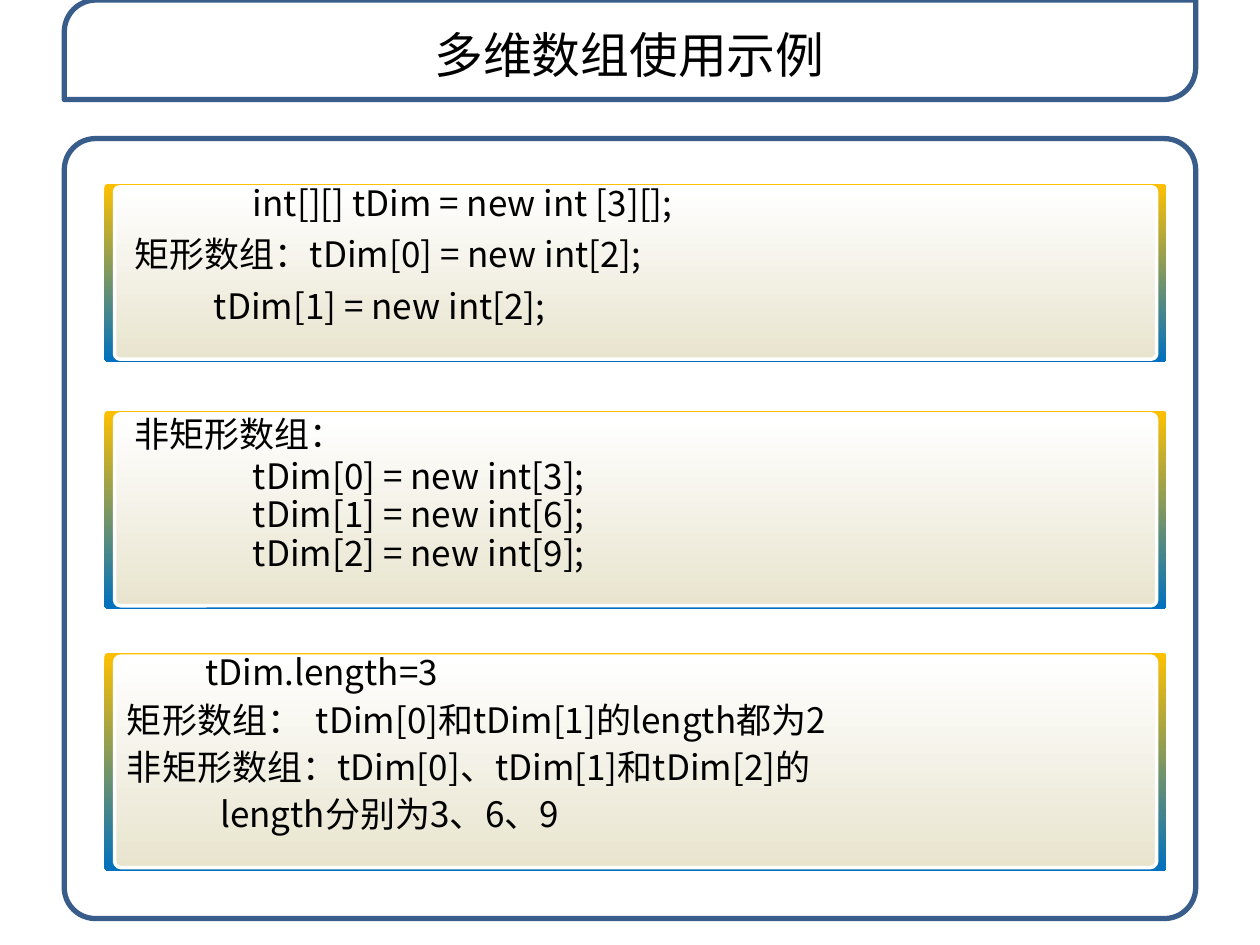
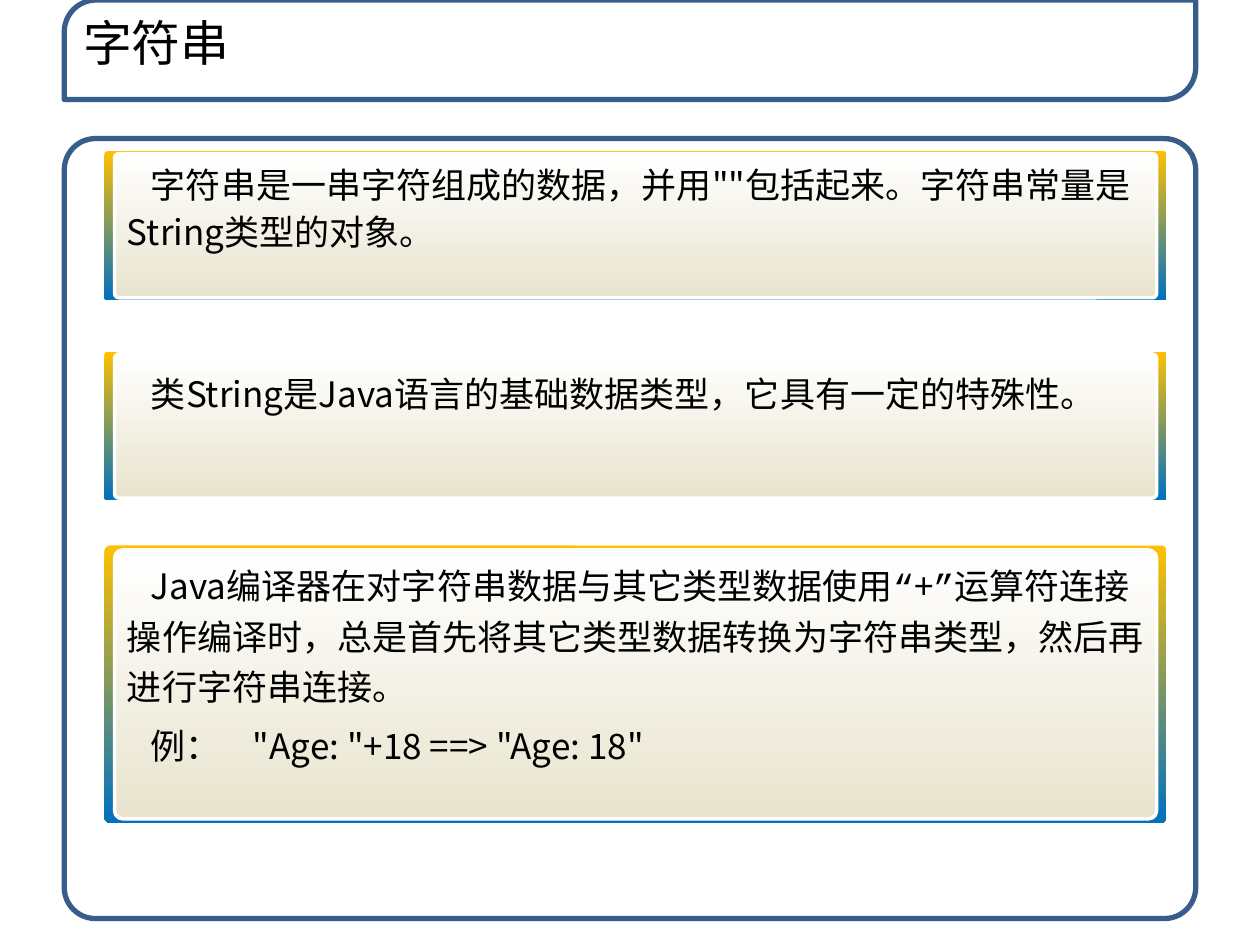
from dataclasses import dataclass

from lxml import etree
from pptx import Presentation
from pptx.dml.color import RGBColor
from pptx.enum.shapes import MSO_SHAPE
from pptx.enum.text import MSO_ANCHOR, MSO_AUTO_SIZE, PP_ALIGN
from pptx.oxml.ns import qn
from pptx.util import Inches, Pt

ROUND_RECT = MSO_SHAPE.ROUNDED_RECTANGLE
DIAGONAL_RECT = MSO_SHAPE.ROUND_2_DIAG_RECTANGLE
CENTER, JUSTIFY = PP_ALIGN.CENTER, PP_ALIGN.JUSTIFY
TITLE_ONLY = 5


@dataclass(frozen=True)
class Theme:
    font: str = "Noto Sans CJK SC"
    quote_font: str = "Courier New"
    white: RGBColor = RGBColor(0xFF, 0xFF, 0xFF)
    black: RGBColor = RGBColor(0, 0, 0)
    frame: RGBColor = RGBColor(0x38, 0x5D, 0x8A)
    gold: RGBColor = RGBColor(0xFF, 0xC0, 0x00)
    blue: RGBColor = RGBColor(0x00, 0x70, 0xC0)
    cream: RGBColor = RGBColor(0xE8, 0xE4, 0xCE)
    title_size: float = 27.9
    body_size: float = 20
    space_before: float = 12.5
    frame_opacity: int = 85


THEME = Theme()


@dataclass(frozen=True)
class Line:
    """A paragraph; indent and tab stop are inches from the text edge."""
    text: str
    spacing: float
    indent: float = 0
    tab: float = 0


@dataclass(frozen=True)
class Panel:
    top: float
    height: float
    text_height: float
    lines: tuple[Line, ...]


@dataclass(frozen=True)
class Page:
    title: str
    title_box: tuple[float, float, float, float]
    alignment: PP_ALIGN
    panels: tuple[Panel, ...]


@dataclass(frozen=True)
class Frame:
    kind: MSO_SHAPE
    box: tuple[float, float, float, float]
    rounding: float


FRAMES = (
    Frame(ROUND_RECT, (0.51, 1.1, 8.98, 6.19), 0.04),
    Frame(DIAGONAL_RECT, (0.51, 0, 8.98, 0.79), 0.32),
)

PAGES = (
    Page("多维数组使用示例", (0.5, 0.13, 8.99, 0.6), CENTER, (
        Panel(1.46, 1.41, 1.15, (
            Line("int[][] tDim = new int [3][];", 0.7, 1),
            Line("矩形数组：tDim[0] = new int[2];", 0.7, 0.06),
            Line("tDim[1] = new int[2];", 0.7, 0.69),
        )),
        Panel(3.26, 1.57, 1.29, (
            Line("非矩形数组：", 0.8, 0.06),
            *(Line(f"tDim[{row}] = new int[{3 * row + 3}];", 0.4, 1)
              for row in range(3)),
        )),
        Panel(5.18, 1.73, 1.46, (
            Line("tDim.length=3", 0.7, 0.62),
            Line("矩形数组：\ttDim[0]和tDim[1]的length都为2", 0.6, tab=1.58),
            Line("非矩形数组：tDim[0]、tDim[1]和tDim[2]的", 0.6),
            Line("length分别为3、6、9", 0.6, 0.74),
        )),
    )),
    Page("字符串", (0.5, 0.04, 8.91, 0.58), JUSTIFY, (
        Panel(1.2, 1.18, 0.84, (
            Line('字符串是一串字符组成的数据，并用""包括起来。'
                 "字符串常量是String类型的对象。", 1.1, 0.19),
        )),
        Panel(2.79, 1.18, 0.54, (
            Line("类String是Java语言的基础数据类型，它具有一定的特殊性。", 1.3, 0.19),
        )),
        Panel(4.33, 2.2, 1.78, (
            Line("Java编译器在对字符串数据与其它类型数据使用“+”运算符"
                 "连接操作编译时，总是首先将其它类型数据转换为字符串类型，"
                 "然后再进行字符串连接。", 1.2, 0.19),
            Line('例：\t"Age: "+18 ==> "Age: 18"', 0.9, 0.19, 0.94),
        )),
    )),
)


def inches(box):
    return [Inches(length) for length in box]


def add_box(shapes, kind: MSO_SHAPE, box, rounding: float):
    shape = shapes.add_shape(kind, *inches(box))
    shape.adjustments[0] = rounding
    shape.shadow.inherit = False
    return shape


def fill_downward(shape, top: RGBColor, bottom: RGBColor) -> None:
    shape.fill.gradient()
    shape.fill.gradient_angle = 270
    for stop, color, position in zip(shape.fill.gradient_stops, (top, bottom), (0, 1)):
        stop.color.rgb = color
        stop.position = position


def set_font(font, properties, name: str) -> None:
    """Set the Latin and the East Asian typeface alike."""
    font.name = name
    east_asian = etree.Element(qn("a:ea"), typeface=name)
    properties.find(qn("a:latin")).addnext(east_asian)


def style_paragraph(para, size: float) -> None:
    para.font.size = Pt(size)
    para.font.color.rgb = THEME.black
    set_font(para.font, para._p.pPr.find(qn("a:defRPr")), THEME.font)


def add_line(para, line: Line) -> None:
    para.line_spacing = line.spacing
    para.space_before = Pt(THEME.space_before)
    style_paragraph(para, THEME.body_size)
    properties = para._p.pPr
    properties.set("marL", "0")
    properties.set("indent", str(Inches(line.indent)))
    if line.tab:
        stops = etree.Element(qn("a:tabLst"))
        etree.SubElement(stops, qn("a:tab"), pos=str(Inches(line.tab)), algn="l")
        properties.find(qn("a:defRPr")).addprevious(stops)
    pieces = line.text.replace("“", "|“|").replace("”", "|”|").split("|")
    for piece in pieces:
        span = para.add_run()
        span.text = piece
        if piece in ("“", "”"):
            set_font(span.font, span._r.rPr if span._r.rPr is not None
                     else span._r.get_or_add_rPr(), THEME.quote_font)


def add_panel(page, panel: Panel) -> None:
    shapes = page.shapes.add_group_shape().shapes
    border = add_box(shapes, ROUND_RECT, (0.83, panel.top, 8.43, panel.height), 0.02)
    fill_downward(border, THEME.gold, THEME.blue)
    border.line.fill.background()

    inner_top = panel.top + 0.016 * panel.height
    inner = add_box(shapes, ROUND_RECT, (0.91, inner_top, 8.27, 0.97 * panel.height), 0.03)
    fill_downward(inner, THEME.white, THEME.cream)
    inner.line.color.rgb = THEME.white
    inner.line.width = Pt(2)

    box = shapes.add_textbox(*inches((0.91, inner_top, 8.27, panel.text_height)))
    frame = box.text_frame
    frame.word_wrap = True
    frame.auto_size = MSO_AUTO_SIZE.SHAPE_TO_FIT_TEXT
    for index, line in enumerate(panel.lines):
        add_line(frame.add_paragraph() if index else frame.paragraphs[0], line)


def add_title(page, content: Page) -> None:
    title = page.shapes.title
    title.left, title.top, title.width, title.height = inches(content.title_box)
    frame = title.text_frame
    frame.text = content.title
    frame.auto_size = MSO_AUTO_SIZE.NONE
    frame.vertical_anchor = MSO_ANCHOR.MIDDLE
    frame.margin_left = frame.margin_right = Inches(0.16)
    para = frame.paragraphs[0]
    para.alignment = content.alignment
    style_paragraph(para, THEME.title_size)


def add_frames(page, layout) -> None:
    """Draw the frames on a page, then move them into its layout."""
    for number, frame in enumerate(FRAMES, start=101):
        shape = add_box(page.shapes, frame.kind, frame.box, frame.rounding)
        shape.fill.solid()
        shape.fill.fore_color.rgb = THEME.white
        color = shape.element.spPr.find(qn("a:solidFill"))[0]
        etree.SubElement(color, qn("a:alpha"), val=str(THEME.frame_opacity * 1000))
        shape.line.color.rgb = THEME.frame
        shape.line.width = Pt(3)
        shape.element.xpath(".//p:cNvPr")[0].set("id", str(number))
        layout.shapes.element.append(shape.element)


def main() -> None:
    deck = Presentation()
    deck.slide_width, deck.slide_height = Inches(10), Inches(7.5)
    layout = deck.slide_layouts[TITLE_ONLY]
    for index, content in enumerate(PAGES):
        page = deck.slides.add_slide(layout)
        if index == 0:
            add_frames(page, layout)
        add_title(page, content)
        for panel in content.panels:
            add_panel(page, panel)
    deck.save("out.pptx")


if __name__ == "__main__":
    main()
